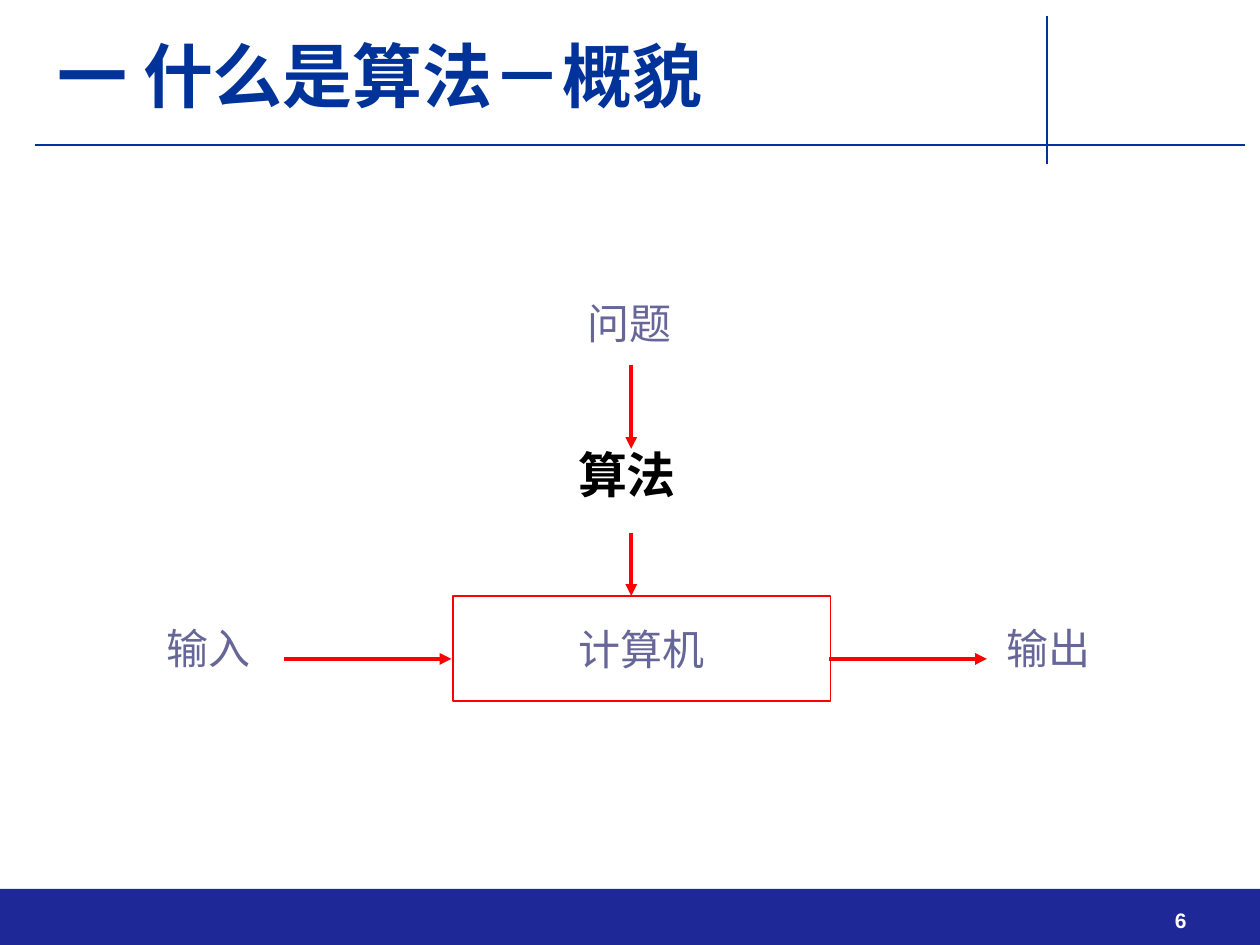
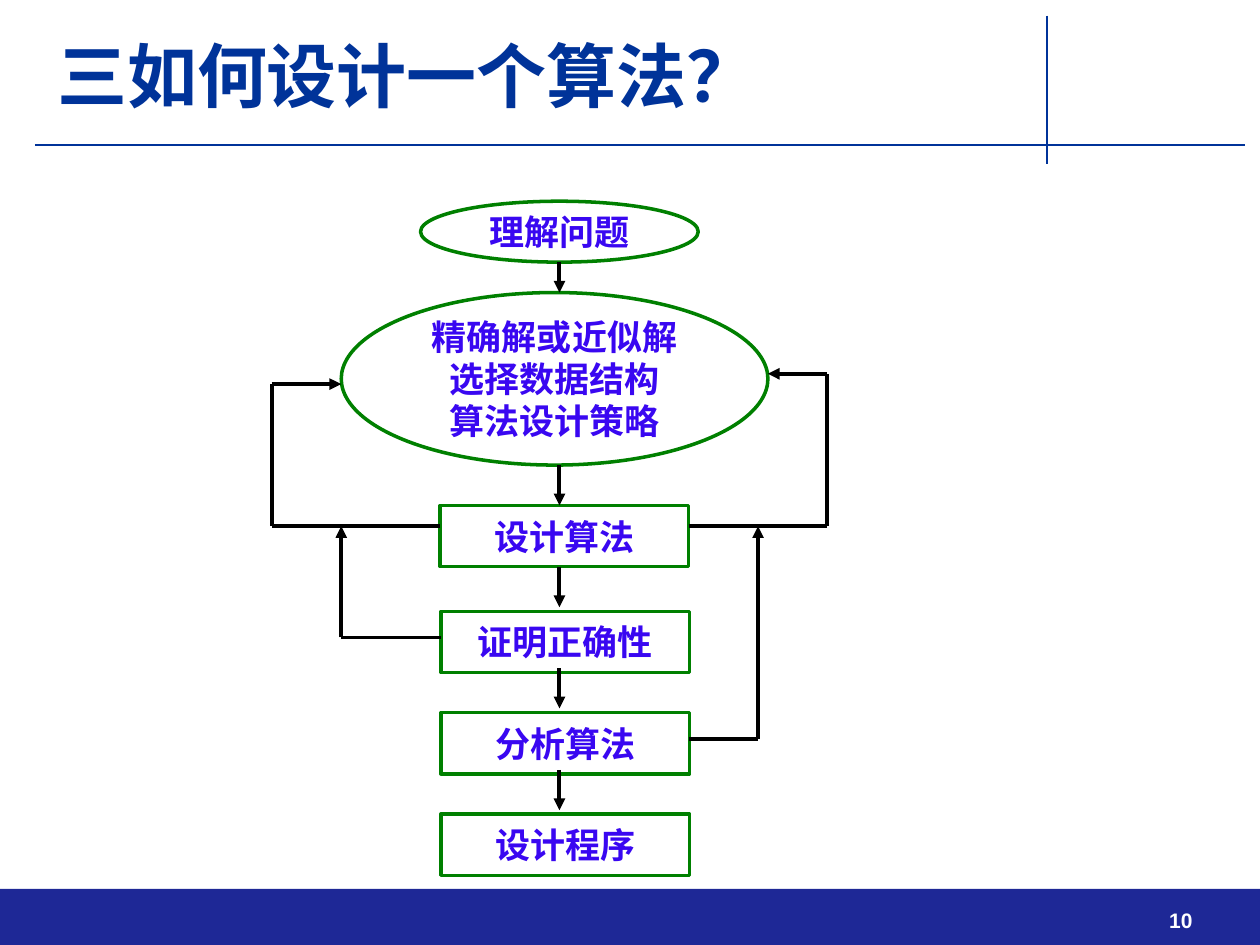
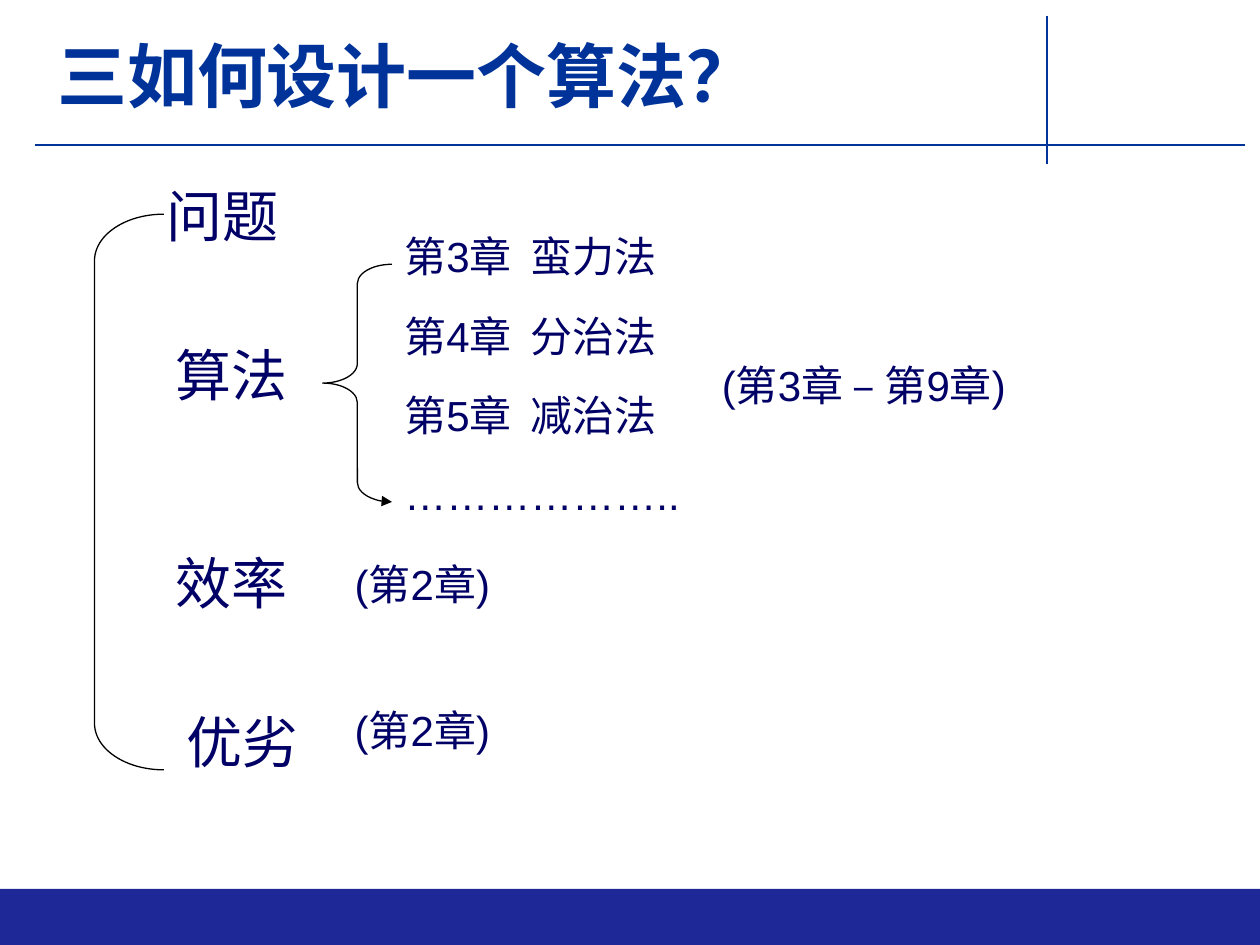
from lxml import etree
from pptx import Presentation
from pptx import util as u
from pptx.dml.color import RGBColor
from pptx.enum import shapes, text
from pptx.oxml import ns

COLOURS = {
    "band": "1E2896", "title": "003399", "white": "FFFFFF", "black": "000000",
    "red": "FF0000", "label": "666699", "green": "008000", "step": "3907F1",
    "outline": "000066",
}
CJK_FONT = "Noto Sans CJK SC"
TITLE = {"size": 40, "name": "Arial", "color": "title", "bold": True}
NUMBER = {"size": 12, "name": "Arial", "color": "white", "bold": True}
LABEL = {"size": 24, "name": "Times New Roman", "color": "label"}
ALGORITHM = {"size": 28, "name": CJK_FONT, "color": "black", "bold": True}
STEP = {"size": 20, "name": "Arial", "color": "step", "bold": True}
TOPIC = {"size": 32, "name": "Arial", "color": "outline"}
CHAPTER = {"size": 24, "name": "Arial", "color": "outline"}

SHAPE = shapes.MSO_SHAPE
CENTER = text.PP_ALIGN.CENTER
MIDDLE = text.MSO_ANCHOR.MIDDLE


def rgb(name):
    return RGBColor.from_string(COLOURS[name])


def points(*lengths):
    return [u.Pt(length) for length in lengths]


def write(shape, words, style, align=None, anchor=None, wrap=True):
    """Fill a shape with one paragraph per line of words."""
    frame = shape.text_frame
    frame.word_wrap = wrap
    frame.vertical_anchor = anchor
    for index, line in enumerate(words.split("\n")):
        para = frame.add_paragraph() if index else frame.paragraphs[0]
        para.alignment = align
        span = para.add_run()
        span.text = line
        for key, value in style.items():
            if key == "color":
                span.font.color.rgb = rgb(value)
            else:
                setattr(span.font, key, u.Pt(value) if key == "size" else value)
        east_asian = etree.SubElement(span.font._element, ns.qn("a:ea"))
        east_asian.set("typeface", CJK_FONT)


def add_text(page, at, words, style, **layout):
    write(page.shapes.add_textbox(*points(*at)), words, style, **layout)


def add_box(page, kind, at, fill=None, line=None, width=1.0):
    box = page.shapes.add_shape(kind, *points(*at))
    box.shadow.inherit = False
    if fill:
        box.fill.solid()
        box.fill.fore_color.rgb = rgb(fill)
    else:
        box.fill.background()
    if line:
        box.line.color.rgb = rgb(line)
        box.line.width = u.Pt(width)
    else:
        box.line.fill.background()
    return box


def add_arrowhead(shape, end):
    etree.SubElement(shape.line._get_or_add_ln(), ns.qn(f"a:{end}"), type="triangle")


def add_route(page, corners, colour="black", width=2.25, arrow=True):
    """Join the corners with straight lines, with an arrowhead at the last one."""
    for start, end in zip(corners, corners[1:]):
        line = page.shapes.add_connector(
            shapes.MSO_CONNECTOR.STRAIGHT, *points(*start, *end))
        line.line.color.rgb = rgb(colour)
        line.line.width = u.Pt(width)
        etree.SubElement(line._element.spPr, ns.qn("a:effectLst"))
    if arrow:
        add_arrowhead(line, "tailEnd")


def add_page(deck, title, number=None):
    page = deck.slides.add_slide(deck.slide_layouts[6])
    add_box(page, SHAPE.RECTANGLE, (0, 508, 720, 32), fill="band")
    for rule in ([(20, 82.8), (711.5, 82.8)], [(598.2, 9), (598.2, 94)]):
        add_route(page, rule, "title", 1.5, arrow=False)
    if number:
        add_text(page, (643.5, 514.5, 62.5, 23), number, NUMBER,
                 align=CENTER, anchor=MIDDLE)
    add_text(page, (25.6, 14, 561, 57), title, TITLE, anchor=MIDDLE)
    return page


def build_overview(deck):
    page = add_page(deck, "一 什么是算法－概貌", "6")
    computer = add_box(page, SHAPE.RECTANGLE, (258.7, 340.5, 216, 60), line="red")
    write(computer, "计算机", LABEL, align=CENTER, anchor=MIDDLE, wrap=False)
    for words, left, top in (("问题", 312.5, 166.3), ("输入", 72, 352), ("输出", 552, 352)):
        add_text(page, (left, top, 94.5, 36), words, LABEL, align=CENTER)
    add_text(page, (308.3, 250.5, 100, 41), "算法", ALGORITHM, align=CENTER)
    for route in ([(360.7, 208.3), (360.7, 256.5)], [(360.7, 304.5), (360.7, 340.5)],
                  [(162, 376.5), (258, 376.5)], [(474, 376.5), (564, 376.5)]):
        add_route(page, route, "red")


def build_flow(deck):
    page = add_page(deck, "三如何设计一个算法？", "10")
    steps = (
        ("理解问题", SHAPE.OVAL, (240.3, 115, 158.7, 34.8)),
        ("精确解或近似解\n选择数据结构\n算法设计策略", SHAPE.OVAL, (195, 167.2, 243.8, 98.6)),
        ("设计算法", SHAPE.RECTANGLE, (251.5, 288.8, 142, 35)),
        ("证明正确性", SHAPE.RECTANGLE, (252, 349.3, 142, 35)),
        ("分析算法", SHAPE.RECTANGLE, (252, 407.2, 142, 35)),
        ("设计程序", SHAPE.RECTANGLE, (252, 465.2, 142, 35)),
    )
    for words, kind, at in steps:
        step = add_box(page, kind, at, fill="white", line="green", width=2)
        write(step, words, STEP, align=CENTER, anchor=MIDDLE, wrap=False)

    axis = 319.7
    for top, length in ((149.8, 17.4), (265.8, 23), (324, 23), (381.8, 23), (440, 23)):
        add_route(page, [(axis, top), (axis, top + length)])

    feedback_y = 300.7
    add_route(page, [(251.5, feedback_y), (155.3, feedback_y), (155.3, 219.5), (195, 219.5)])
    add_route(page, [(393.5, feedback_y), (472.8, feedback_y), (472.8, 213.6), (438.8, 213.6)])
    add_route(page, [(252, 364.3), (195, 364.3), (195, feedback_y)])
    add_route(page, [(393.5, 422.2), (433.2, 422.2), (433.2, feedback_y)])


def build_outline(deck):
    page = add_page(deck, "三如何设计一个算法？")
    topics = (("问题", 88, 100), ("算法", 93.4, 191), ("效率", 93.4, 309.8), ("优劣", 99.5, 400.5))
    for words, left, top in topics:
        add_text(page, (left, top, 108, 51), words, TOPIC)

    methods = ("第3章  蛮力法", "第4章  分治法", "第5章  减治法", "………………..")
    chapters = [(words, 224, 128.3 + 45.35 * row) for row, words in enumerate(methods)]
    chapters += [("(第3章 – 第9章)", 405.4, 202),
                 ("(第2章)", 195.6, 315.5), ("(第2章)", 195.6, 399)]
    for words, left, top in chapters:
        add_text(page, (left, top, 226.8, 39.6), words, CHAPTER)

    bracket = add_box(page, SHAPE.LEFT_BRACKET, (54, 122.4, 39.6, 317.5),
                      line="black", width=0.75)
    bracket.adjustments[0] = 0.67
    brace = add_box(page, SHAPE.LEFT_BRACE, (184.4, 151, 39.6, 135.8),
                    line="black", width=0.75)
    brace.adjustments[0] = 0.28
    add_arrowhead(brace, "headEnd")


def main():
    deck = Presentation()
    deck.slide_width, deck.slide_height = points(720, 540)
    build_overview(deck)
    build_flow(deck)
    build_outline(deck)
    deck.save("out.pptx")


if __name__ == "__main__":
    main()
